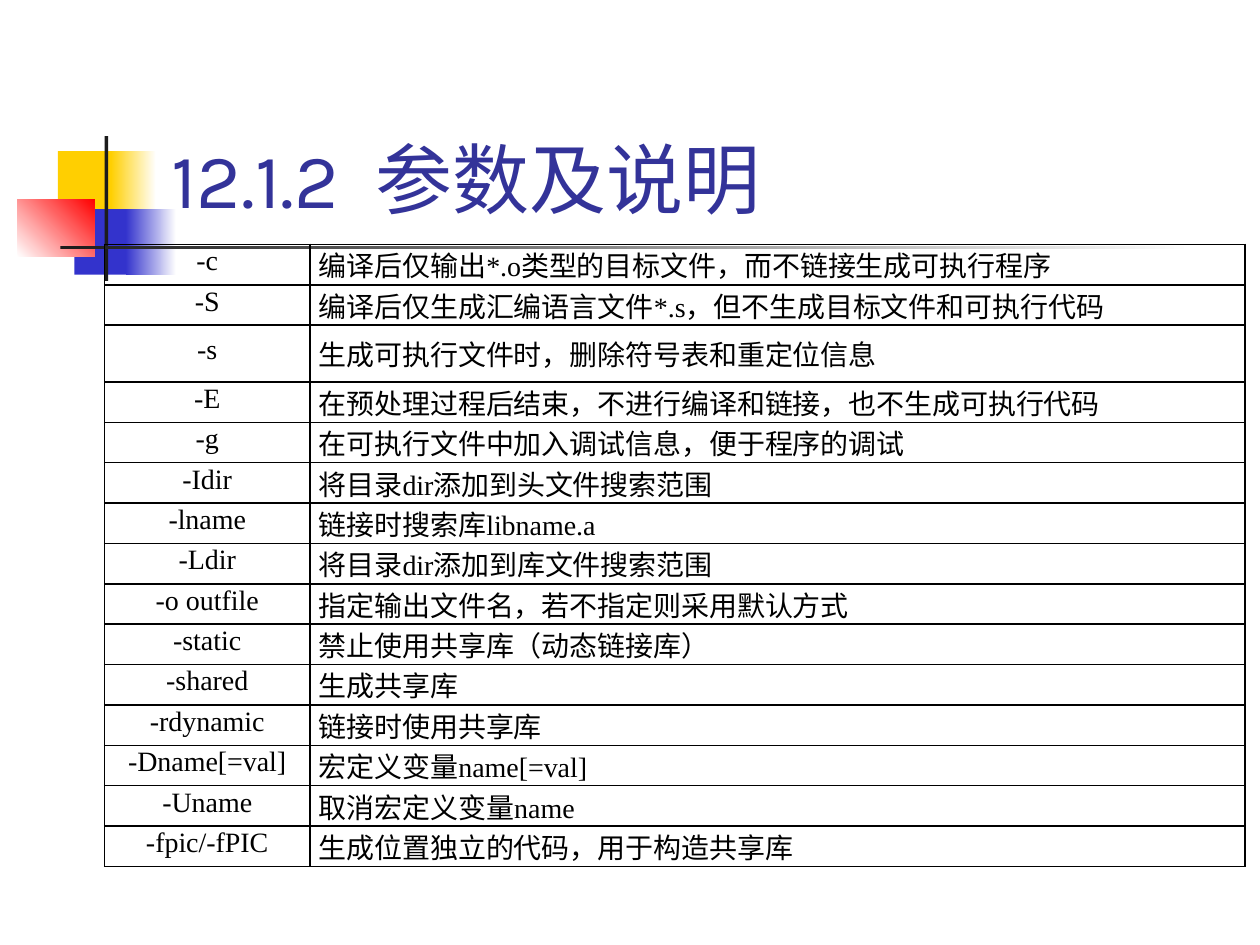
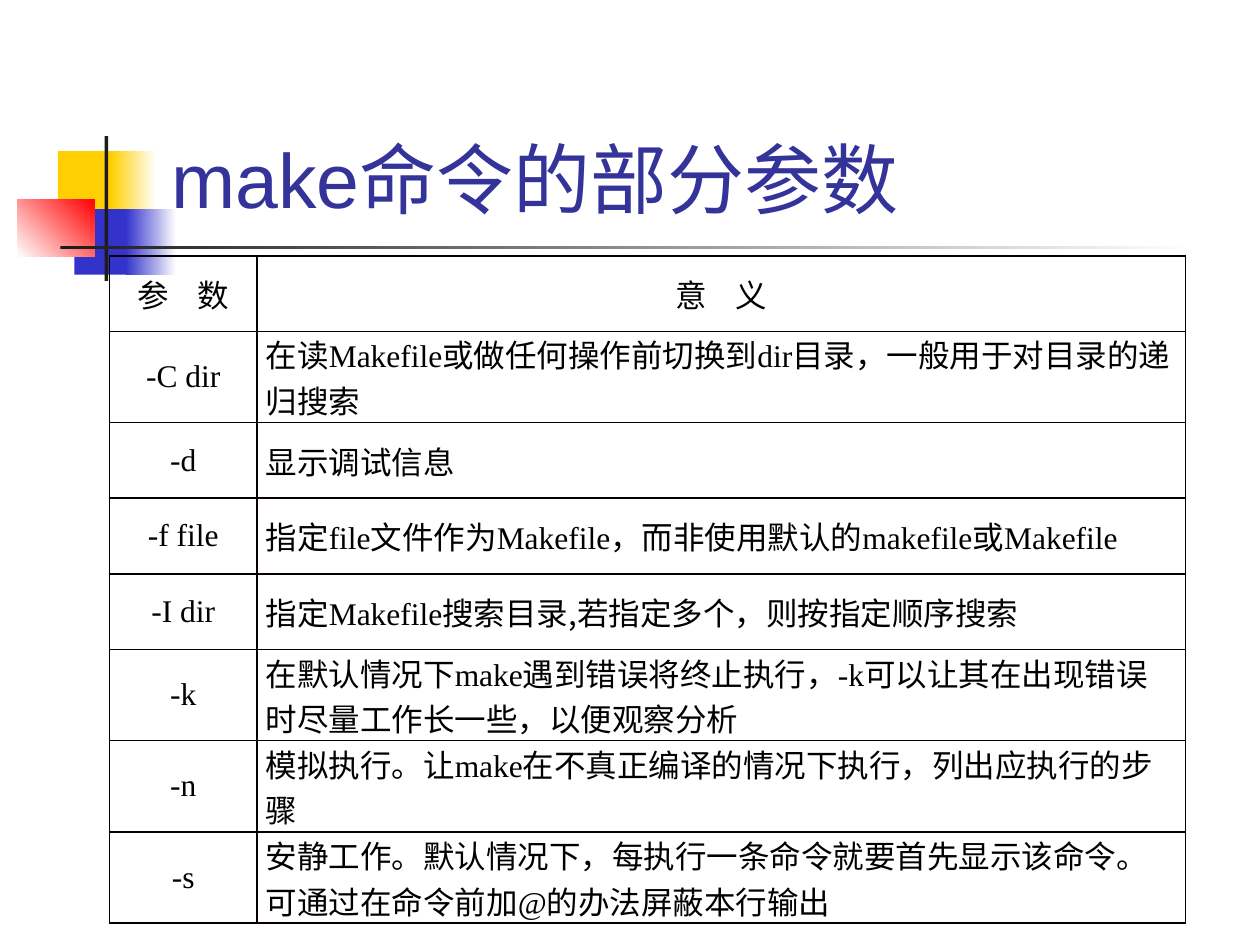
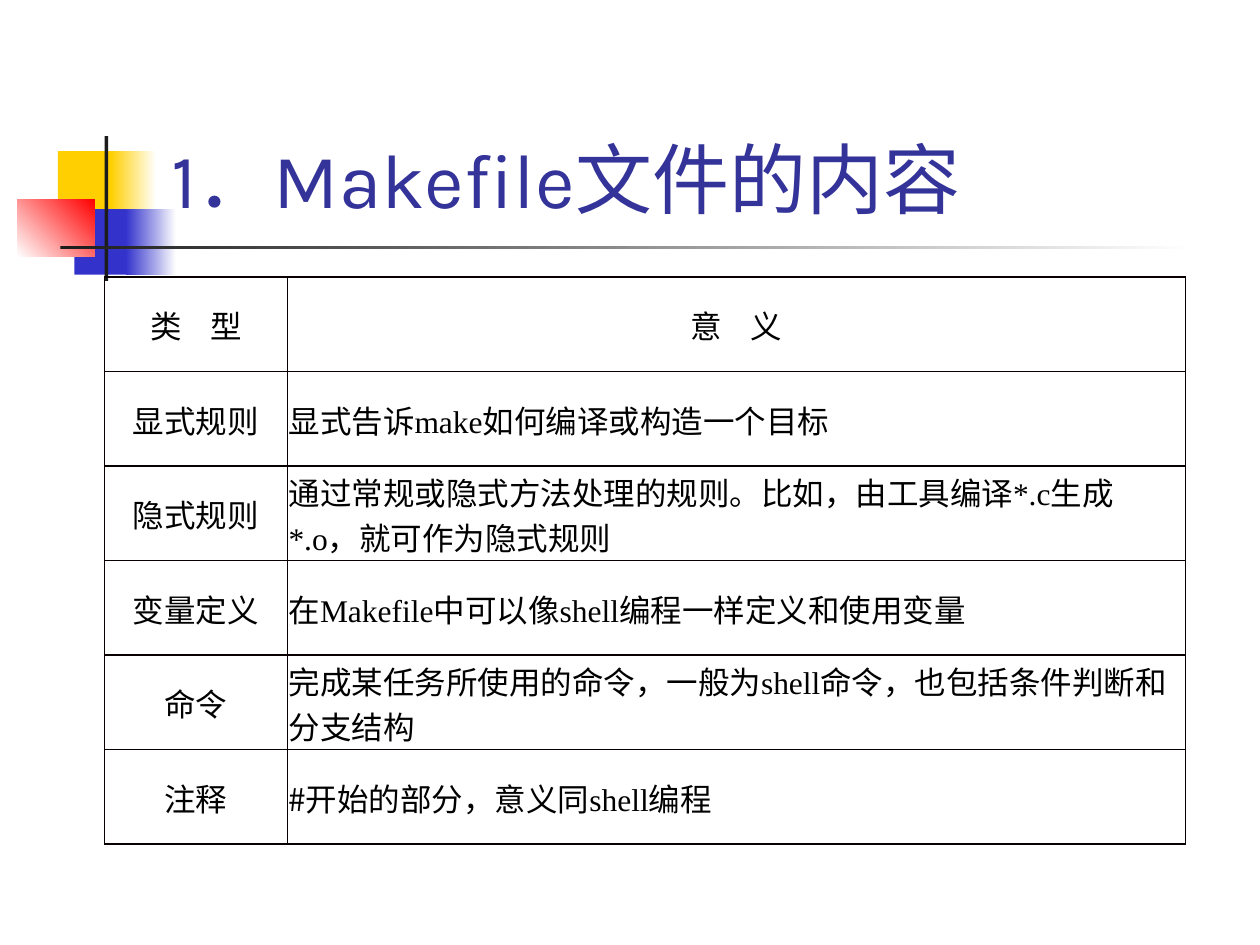
from lxml import etree
from pptx import Presentation
from pptx.dml.color import RGBColor
from pptx.enum.shapes import MSO_SHAPE
from pptx.enum.text import MSO_ANCHOR, MSO_AUTO_SIZE, PP_ALIGN
from pptx.oxml.ns import qn
from pptx.util import Emu, Pt

RECTANGLE = MSO_SHAPE.RECTANGLE
MIDDLE, BOTTOM = MSO_ANCHOR.MIDDLE, MSO_ANCHOR.BOTTOM
NO_AUTOFIT = MSO_AUTO_SIZE.NONE
LEFT, CENTER = PP_ALIGN.LEFT, PP_ALIGN.CENTER

EMU_PER_PX = 9144
TITLE_ONLY = 5
FIRST_ORNAMENT_ID = 100
SERIF = "Times New Roman"
HAN = "Noto Sans CJK SC"
YELLOW, BLUE, RED = "FFCF01", "3333CC", "FF0000"
INK, WHITE, BLACK = "1C1C1C", "FFFFFF", "000000"
TITLE_COLOR, TABLE_LINE = "333399", "080000"

ORNAMENTS = [
    ((46, 120, 48, 52), [YELLOW], 0),
    ((88, 120, 36, 52), [YELLOW, WHITE], 0),
    ((59, 166, 46, 52), [BLUE], 0),
    ((100, 166, 40, 52), [BLUE, WHITE], 0),
    ((14, 158, 61, 46), [WHITE, RED], 45),
    ((83, 108, 3, 115), [INK], 0),
    ((48, 195, 900, 3), [INK, WHITE], 0),
]

COMPILER_OPTIONS = [
    ("-c", "编译后仅输出*.o类型的目标文件，而不链接生成可执行程序"),
    ("-S", "编译后仅生成汇编语言文件*.s，但不生成目标文件和可执行代码"),
    ("-s", "生成可执行文件时，删除符号表和重定位信息"),
    ("-E", "在预处理过程后结束，不进行编译和链接，也不生成可执行代码"),
    ("-g", "在可执行文件中加入调试信息，便于程序的调试"),
    ("-Idir", "将目录dir添加到头文件搜索范围"),
    ("-lname", "链接时搜索库libname.a"),
    ("-Ldir", "将目录dir添加到库文件搜索范围"),
    ("-o outfile", "指定输出文件名，若不指定则采用默认方式"),
    ("-static", "禁止使用共享库（动态链接库）"),
    ("-shared", "生成共享库"),
    ("-rdynamic", "链接时使用共享库"),
    ("-Dname[=val]", "宏定义变量name[=val]"),
    ("-Uname", "取消宏定义变量name"),
    ("-fpic/-fPIC", "生成位置独立的代码，用于构造共享库"),
]

MAKE_OPTIONS = [
    ("参    数", "意    义"),
    ("|-C dir|", "在读|Makefile|或做任何操作前切换到|dir|目录，一般用于对目录的递归搜索"),
    ("|-d|", "显示调试信息"),
    ("|-f file|", "指定|file|文件作为|Makefile|，而非使用默认的|makefile|或|Makefile|"),
    ("|-I dir|", "指定|Makefile|搜索目录,若指定多个，则按指定顺序搜索"),
    ("|-k|", "在默认情况下|make|遇到错误将终止执行，|-k|可以让其在出现错误时尽量工作长一些，以便观察分析"),
    ("|-n|", "模拟执行。让|make|在不真正编译的情况下执行，列出应执行的步骤"),
    ("|-s|", "安静工作。默认情况下，每执行一条命令就要首先显示该命令。可通过在命令前加|@|的办法屏蔽本行输出"),
]

MAKEFILE_PARTS = [
    ("类    型", "意    义"),
    ("显式规则", "显式告诉|make|如何编译或构造一个目标"),
    ("隐式规则", "通过常规或隐式方法处理的规则。比如，由工具编译|*.c|生成|*.o|，就可作为隐式规则"),
    ("变量定义", "在|Makefile|中可以像|shell|编程一样定义和使用变量"),
    ("命令", "完成某任务所使用的命令，一般为|shell|命令，也包括条件判断和分支结构"),
    ("注释", "#开始的部分，意义同|shell|编程"),
]


def px(length):
    return Emu(length * EMU_PER_PX)


def rgb(value):
    return RGBColor.from_string(value)


def write_text(frame, text, *, font, size, color=BLACK, align=LEFT, spacing=None):
    """Text between bars is set in the serif font."""
    para = frame.paragraphs[0]
    para.alignment = align
    if spacing:
        para.line_spacing = Pt(spacing)
    for index, part in enumerate(text.split("|")):
        if not part:
            continue
        span = para.add_run()
        span.text = part
        span.font.size = Pt(size)
        span.font.color.rgb = rgb(color)
        span.font.name = SERIF if index % 2 else font
        east_asian = etree.SubElement(span.font._element, qn("a:ea"))
        east_asian.set("typeface", HAN)


def draw_borders(cell, color):
    properties = cell._tc.get_or_add_tcPr()
    for side in ("lnL", "lnR", "lnT", "lnB"):
        line = etree.SubElement(properties, qn(f"a:{side}"), w=str(Pt(1)))
        fill = etree.SubElement(line, qn("a:solidFill"))
        etree.SubElement(fill, qn("a:srgbClr"), val=color)


class LessonDeck:
    def __init__(self):
        self.deck = Presentation()
        self.deck.slide_width, self.deck.slide_height = px(1000), px(750)
        self.layout = self.deck.slide_layouts[TITLE_ONLY]
        self.page = None

    def add_page(self, title, font):
        self.page = self.deck.slides.add_slide(self.layout)
        if len(self.deck.slides) == 1:
            self.decorate_layout()
        box = self.page.shapes.title
        box.left, box.top, box.width, box.height = map(px, (126, 23, 852, 160))
        frame = box.text_frame
        frame.word_wrap = True
        frame.auto_size = NO_AUTOFIT
        frame.vertical_anchor = BOTTOM
        write_text(frame, title, font=font, size=44, color=TITLE_COLOR)

    def decorate_layout(self):
        for number, (place, colors, angle) in enumerate(ORNAMENTS, FIRST_ORNAMENT_ID):
            shape = self.add_block(place, colors, angle)
            shape.name = f"Ornament {number}"
            shape.element.nvSpPr.cNvPr.set("id", str(number))
            self.layout.shapes.element.append(shape.element)

    def add_block(self, place, colors, angle):
        shape = self.page.shapes.add_shape(RECTANGLE, *map(px, place))
        shape.shadow.inherit = False
        shape.line.fill.background()
        if len(colors) == 1:
            shape.fill.solid()
            shape.fill.fore_color.rgb = rgb(colors[0])
        else:
            shape.fill.gradient()
            shape.fill.gradient_angle = angle
            for stop, color in zip(shape.fill.gradient_stops, colors):
                stop.color.rgb = rgb(color)
        return shape

    def add_table(self, rows, *, left, top, widths, heights, font, size, margins,
                  line=TABLE_LINE, header=True, label_spacing=None):
        place = map(px, (left, top, sum(widths), sum(heights)))
        table = self.page.shapes.add_table(len(rows), len(widths), *place).table
        table.first_row = table.horz_banding = False
        for column, width in zip(table.columns, widths):
            column.width = px(width)
        for row_index, (texts, height) in enumerate(zip(rows, heights)):
            table.rows[row_index].height = px(height)
            for column_index, text in enumerate(texts):
                cell = table.cell(row_index, column_index)
                is_label = column_index == 0
                centered = is_label or (header and row_index == 0)
                draw_borders(cell, line)
                cell.fill.background()
                cell.vertical_anchor = MIDDLE
                side, cell.margin_top = map(px, margins)
                cell.margin_left = cell.margin_right = side
                cell.margin_bottom = 0
                write_text(cell.text_frame, text, font=font, size=size,
                           align=CENTER if centered else LEFT,
                           spacing=label_spacing if is_label else None)

    def save(self):
        self.deck.save("out.pptx")


def main():
    lesson = LessonDeck()

    lesson.add_page("12.1.2  参数及说明", "Karla")
    heights = [45 if label == "-s" else 30 for label, _ in COMPILER_OPTIONS]
    lesson.add_table(COMPILER_OPTIONS, left=83, top=194, widths=(163, 742),
                     heights=heights, font=SERIF, size=16, margins=(7, 0),
                     line=BLACK, header=False, label_spacing=14)

    lesson.add_page("make命令的部分参数", "Arial")
    lesson.add_table(MAKE_OPTIONS, left=87, top=203, widths=(117, 737),
                     heights=[60] * len(MAKE_OPTIONS), font=HAN, size=18,
                     margins=(7, 0))

    lesson.add_page("1．Makefile文件的内容", "Karla")
    lesson.add_table(MAKEFILE_PARTS, left=83, top=220, widths=(145, 713),
                     heights=[75] * len(MAKEFILE_PARTS), font=HAN, size=18,
                     margins=(1, 1))

    lesson.save()


if __name__ == "__main__":
    main()
